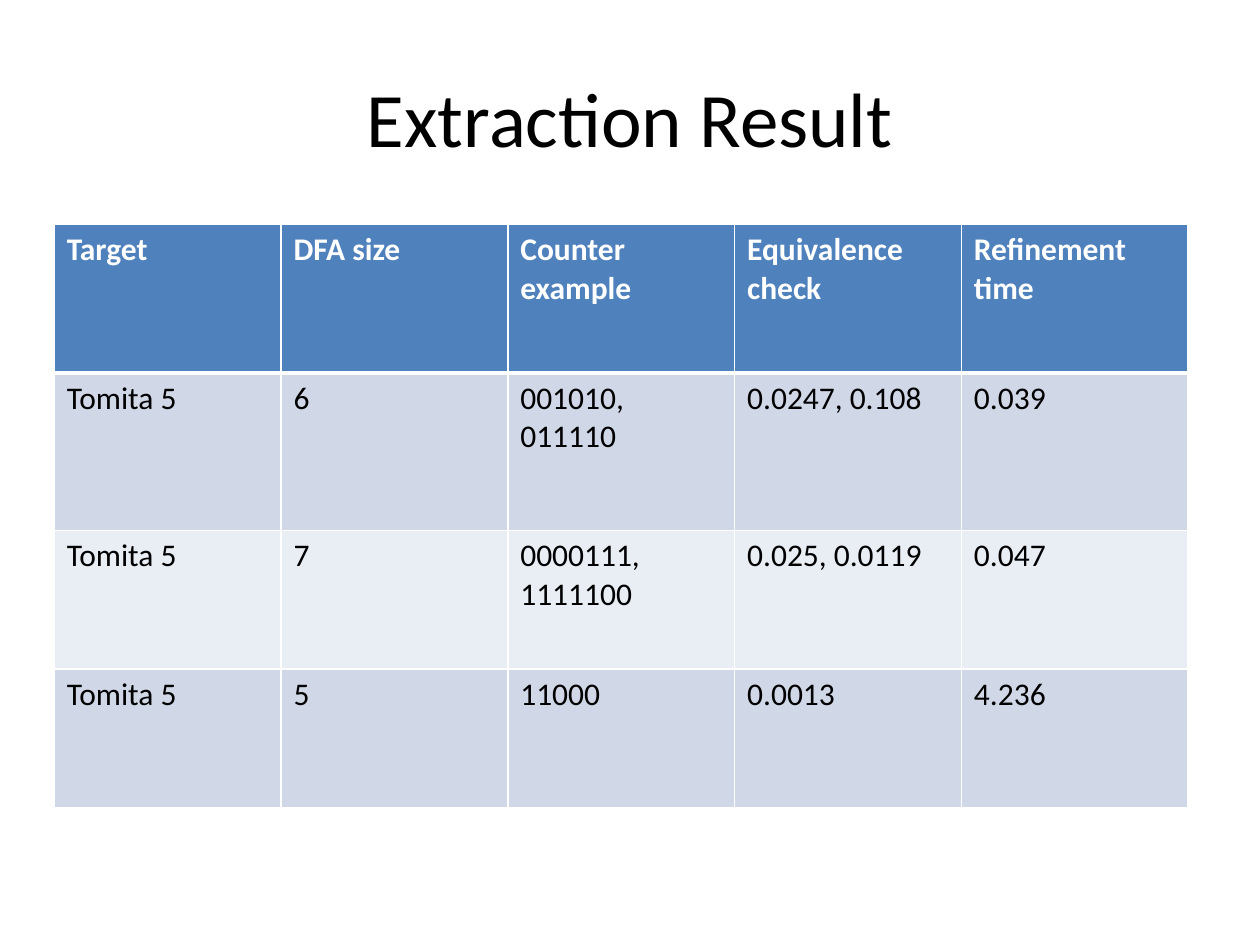
from dataclasses import dataclass

from lxml.etree import SubElement
from pptx import Presentation
from pptx.dml.color import RGBColor
from pptx.enum.text import MSO_ANCHOR, PP_ALIGN
from pptx.oxml.ns import qn
from pptx.util import Pt

SCALE = 9144  # EMU per px, at 100 px to the inch
WHITE, BLACK = "FFFFFF", "000000"
BLUE, BAND, PALE = "4F81BD", "D0D8E8", "E9EDF4"
COL = 180


@dataclass
class Row:
    height: int
    fill: str
    texts: tuple[str, ...]
    ink: str = BLACK
    bold: bool = False
    top: int = 1
    base: int = 1


ROWS = [
    Row(118, BLUE, ("Target", "DFA size", "Counter example",
                    "Equivalence check", "Refinement time"),
        ink=WHITE, bold=True, base=3),
    Row(125, BAND, ("Tomita 5", "6", "001010,\n011110",
                    "0.0247, 0.108", "0.039"), top=3),
    Row(110, PALE, ("Tomita 5", "7", "0000111,\n1111100",
                    "0.025, 0.0119", "0.047")),
    Row(110, BAND, ("Tomita 5", "5", "11000", "0.0013", "4.236")),
]


def px(length: int) -> int:
    return length * SCALE


def tint(code: str) -> RGBColor:
    return RGBColor.from_string(code)


def style(frame, size: int, ink: str, bold: bool = False) -> None:
    look = {"name": "Calibri", "size": Pt(size), "bold": bold}
    for para in frame.paragraphs:
        for run in para.runs:
            for key, value in look.items():
                setattr(run.font, key, value)
            run.font.color.rgb = tint(ink)


def edge(cell, sides: dict[str, int]) -> None:
    """Draw white cell borders; call before the fill is set."""
    props = cell._tc.get_or_add_tcPr()
    for side, width in sides.items():
        line = SubElement(props, qn(f"a:ln{side}"), w=str(Pt(width)))
        fill = SubElement(line, qn("a:solidFill"))
        SubElement(fill, qn("a:srgbClr"), val=WHITE)


def draw_title(slide, text: str) -> None:
    title = slide.shapes.title
    place = {"left": 50, "top": 30, "width": 900, "height": 125}
    for key, value in place.items():
        setattr(title, key, px(value))
    frame = title.text_frame
    frame.text = text
    frame.vertical_anchor = MSO_ANCHOR.MIDDLE
    frame.paragraphs[0].alignment = PP_ALIGN.CENTER
    style(frame, 44, BLACK)


def draw_table(slide, rows: list[Row], left: int, top: int) -> None:
    count = len(rows[0].texts)
    tall = sum(row.height for row in rows)
    table = slide.shapes.add_table(
        len(rows), count, px(left), px(top), px(COL * count), px(tall)).table
    for column in table.columns:
        column.width = px(COL)
    for line, row in zip(table.rows, rows):
        line.height = px(row.height)
        for cell, text in zip(line.cells, row.texts):
            cell.text = text
            style(cell.text_frame, 18, row.ink, row.bold)
            edge(cell, {"L": 1, "R": 1, "T": row.top, "B": row.base})
            cell.fill.solid()
            cell.fill.fore_color.rgb = tint(row.fill)


def main() -> None:
    deck = Presentation()
    deck.slide_width, deck.slide_height = px(1000), px(750)
    slide = deck.slides.add_slide(deck.slide_layouts.get_by_name("Title Only"))
    draw_title(slide, "Extraction Result")
    draw_table(slide, ROWS, 43, 178)
    deck.save("out.pptx")


if __name__ == "__main__":
    main()
